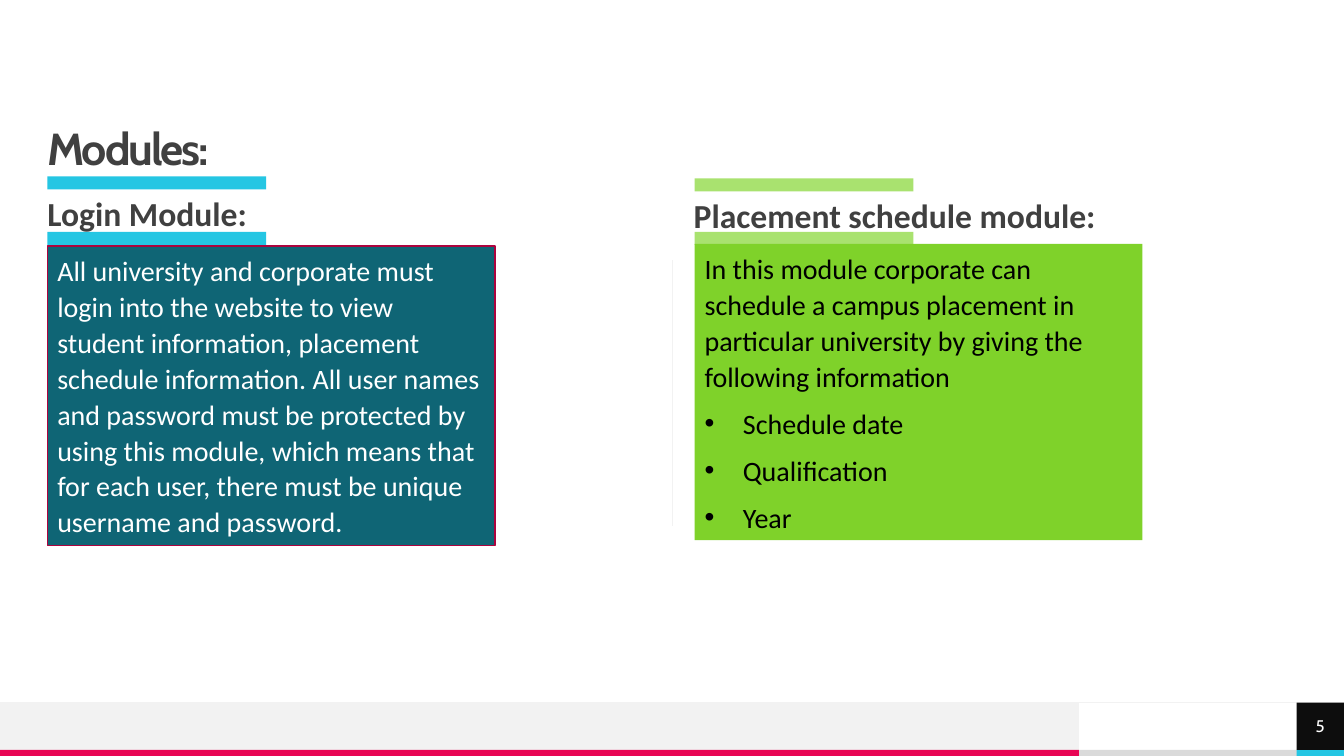
from pptx import Presentation
from pptx.dml.color import RGBColor
from pptx.enum.shapes import MSO_CONNECTOR as Connector, MSO_SHAPE as Shape
from pptx.enum.text import MSO_ANCHOR as Anchor, PP_ALIGN as Align
from pptx.oxml.ns import qn
from pptx.util import Inches, Pt
from lxml import etree

CYAN, LIME, DARK, PALE, WHITE = "25C6E3", "A9E26F", "404040", "F2F2F2", "FFFFFF"

deck = Presentation()
deck.slide_width, deck.slide_height = Inches(13.33), Inches(7.5)
slide = deck.slides.add_slide(deck.slide_layouts[6])
shapes = slide.shapes


def block(left, top, width, height, fill=None, margins=(0, 0, 0, 0)):
    box = shapes.add_shape(Shape.RECTANGLE, *map(Inches, (left, top, width, height)))
    box.shadow.inherit = False
    box.line.fill.background()
    if fill:
        box.fill.solid()
        box.fill.fore_color.rgb = RGBColor.from_string(fill)
    else:
        box.fill.background()
    frame = box.text_frame
    frame.word_wrap = True
    frame.vertical_anchor = Anchor.TOP
    (frame.margin_left, frame.margin_top,
     frame.margin_right, frame.margin_bottom) = map(Inches, margins)
    return box


def style(run, size, color, font="Calibri", bold=False, spacing=0):
    run.font.size, run.font.name, run.font.bold = Pt(size), font, bold
    run.font.color.rgb = RGBColor.from_string(color)
    if spacing:
        run._r.get_or_add_rPr().set("spc", str(round(spacing * 100)))


for left, top, width, height, fill in [
    (10.7, 7.44, 2.17, 0.06, "DADADA"),
    (0, 6.97, 10.7, 0.47, PALE),
    (0, 7.44, 10.7, 0.06, "E80554"),
    (12.86, 7.44, 0.47, 0.06, CYAN),
    (0.47, 2.3, 2.17, 0.13, CYAN),
    (6.89, 2.3, 2.17, 0.13, LIME),
    (0.47, 1.75, 2.17, 0.13, CYAN),
    (6.89, 1.77, 2.17, 0.13, LIME),
]:
    block(left, top, width, height, fill)

for x1, y1, x2, y2 in [(13.33, 6.97, 0, 6.97), (6.67, 2.58, 6.67, 5.22)]:
    rule = shapes.add_connector(Connector.STRAIGHT, *map(Inches, (x1, y1, x2, y2)))
    rule.line.color.rgb = RGBColor.from_string(PALE)
    rule.line.width = Pt(0.5)
    etree.SubElement(rule._element.spPr, qn("a:effectLst"))

title = block(0.47, 1.26, 12.4, 0.47).text_frame
title.text = "Modules:"
title.vertical_anchor = Anchor.MIDDLE
title.paragraphs[0].alignment = Align.LEFT
title.paragraphs[0].line_spacing = 0.9
style(title.paragraphs[0].runs[0], 32, DARK, "Cabin", True, -1.5)

page = block(12.86, 6.97, 0.47, 0.47, "0D0D0D").text_frame
page.text = "5"
page.vertical_anchor = Anchor.MIDDLE
page.paragraphs[0].alignment = Align.CENTER
style(page.paragraphs[0].runs[0], 12, WHITE, "Cabin")

for left, top, wording in [
    (0.47, 1.89, "Login Module:"),
    (6.88, 1.91, "Placement schedule module:"),
]:
    heading = block(left, top, 5.98, 0.39).text_frame
    heading.text = wording
    line = heading.paragraphs[0]
    line.alignment = Align.LEFT
    line.line_spacing, line.space_before, line.space_after = 1.07, Pt(10), Pt(8)
    style(line.runs[0], 24, DARK, bold=True)

login = (
    "All university and corporate must login into the website to view student "
    "information, placement schedule information. All user names and password must "
    "be protected by using this module, which means that for each user, there must "
    "be unique username and password."
)
placement = (
    "In this module corporate can schedule a campus placement in particular "
    "university by giving the following information"
)
for left, top, height, fill, border, color, intro, items in [
    (0.47, 2.44, 2.97, "0F6575", "AC043E", WHITE, login, []),
    (6.89, 2.42, 2.94, "7FD22A", None, "000000", placement,
     ["Schedule date", "Qualification", "Year"]),
]:
    panel = block(left, top, 4.44, height, fill, (0.1, 0.05, 0.1, 0.05))
    if border:
        panel.line.color.rgb = RGBColor.from_string(border)
        panel.line.width = Pt(1)
    panel.text_frame.text = "\n".join([intro, *items])
    for index, line in enumerate(panel.text_frame.paragraphs):
        line.alignment = Align.LEFT
        line.line_spacing, line.space_after = 1.07, Pt(8)
        style(line.runs[0], 20, color)
        if index:
            props = line._p.get_or_add_pPr()
            props.set("marL", str(Inches(0.38)))
            props.set("indent", str(-Inches(0.38)))
            etree.SubElement(props, qn("a:buFont"), typeface="Arial")
            etree.SubElement(props, qn("a:buChar"), char="•")

deck.save("out.pptx")
